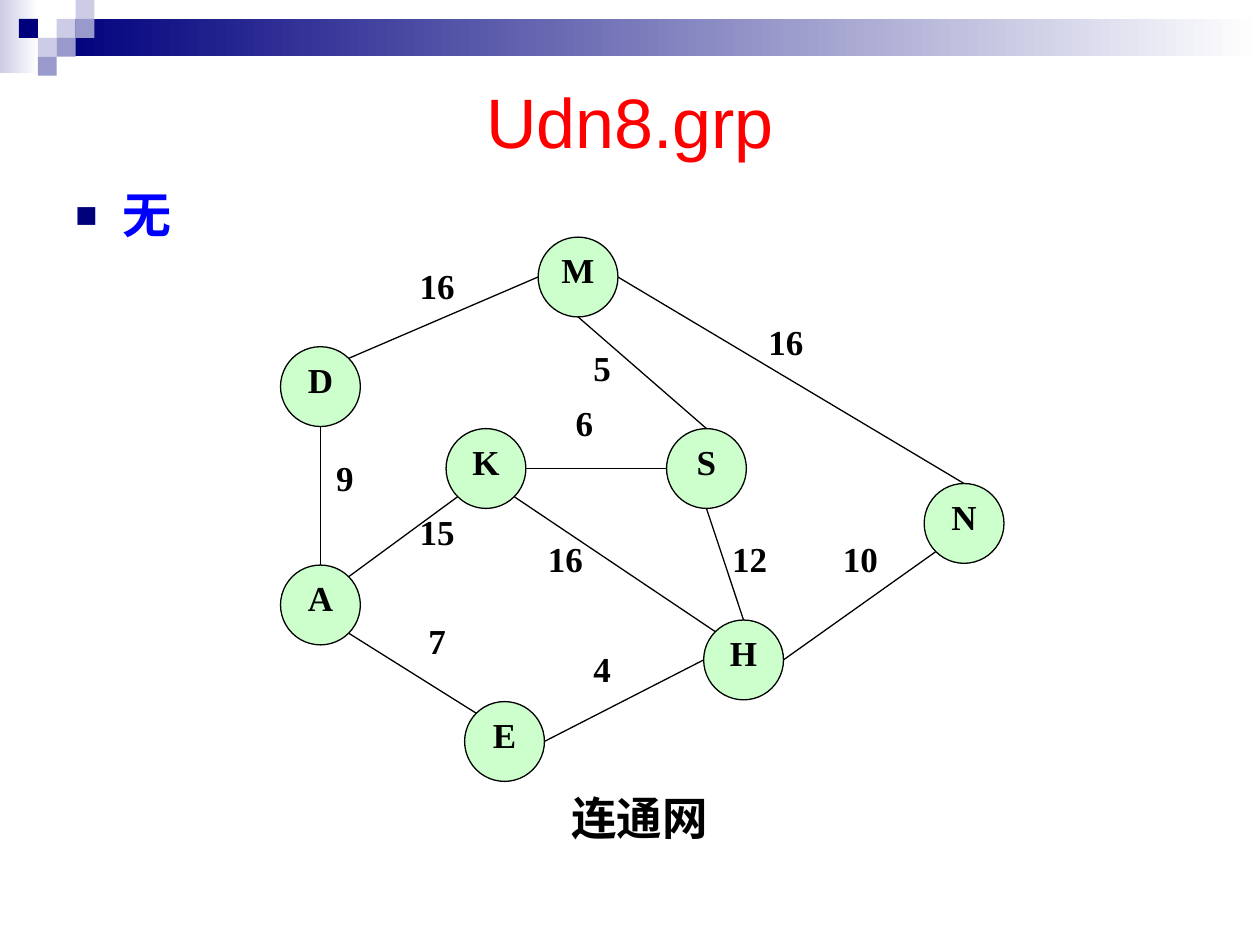
from math import cos, radians, sin

from lxml.etree import SubElement
from pptx import Presentation
from pptx.dml.color import RGBColor
from pptx.enum.shapes import MSO_CONNECTOR as Connector, MSO_SHAPE as Shape
from pptx.enum.text import MSO_ANCHOR as Anchor, PP_ALIGN as Align
from pptx.oxml.ns import qn
from pptx.util import Pt

COLOURS = {
    "navy": "00007D", "lilac": "9999CC", "pale": "CCCCE6", "white": "FFFFFF",
    "red": "FF0000", "blue": "0000FF", "black": "000000", "green": "CCFFCC",
}
SERIF = "Times New Roman"
CELL = 10.8
DIAMETER = 45.6

# Column, row and colour of each small square in the header
SQUARES = [
    (3, 1, "pale"), (4, 0, "pale"), (4, 1, "lilac"), (2, 2, "pale"),
    (1, 1, "navy"), (3, 2, "lilac"), (2, 3, "lilac"),
]
# Centre of each graph node
NODES = {
    "M": (330.3, 158.3), "D": (183.1, 220.9), "A": (183.1, 345.7),
    "S": (403.7, 267.7), "K": (277.7, 267.7), "H": (424.9, 377.1),
    "E": (288.3, 423.7), "N": (550.9, 299.1),
}
# Clockwise angles from east
SIDES = {"E": 0, "SE": 45, "S": 90, "SW": 135, "W": 180, "NW": 225, "N": 270}
# Start node and side, end node and side, weight, left and top of the weight
EDGES = [
    ("D", "NE", "M", "W", 16, 234, 151.2),
    ("D", "S", "A", "N", 9, 181.4, 260.6),
    ("A", "SE", "E", "NW", 7, 234, 354.2),
    ("A", "NE", "K", "SW", 15, 234, 291.6),
    ("K", "SE", "H", "NW", 16, 307.4, 307.4),
    ("S", "S", "H", "N", 12, 412.6, 307.4),
    ("K", "E", "S", "W", 6, 318.2, 229.7),
    ("H", "E", "N", "SW", 10, 475.9, 307.4),
    ("E", "E", "H", "W", 4, 328.3, 370.1),
    ("M", "E", "N", "N", 16, 433.4, 182.9),
    ("M", "S", "S", "N", 5, 328.3, 198),
]
SIDES["NE"] = 315


def colour(name):
    return RGBColor.from_string(COLOURS[name])


def add_block(page, kind, left, top, width, height, fill):
    block = page.shapes.add_shape(kind, Pt(left), Pt(top), Pt(width), Pt(height))
    block.shadow.inherit = False
    block.line.fill.background()
    block.fill.solid()
    block.fill.fore_color.rgb = colour(fill)
    return block


def add_fade(page, left, top, width, height, start):
    """Add a band that fades from start to white, left to right."""
    band = add_block(page, Shape.RECTANGLE, left, top, width, height, start)
    band.fill.gradient()
    band.fill.gradient_angle = 0
    for stop, name in zip(band.fill.gradient_stops, (start, "white")):
        stop.color.rgb = colour(name)


def write(box, text, size, name="black", font=SERIF, bold=True,
          align=Align.CENTER, anchor=Anchor.TOP, inset=None):
    """Fill a box with one paragraph and return that paragraph."""
    frame = box.text_frame
    frame.word_wrap = True
    frame.vertical_anchor = anchor
    if inset is not None:
        frame.margin_left = frame.margin_right = Pt(inset)
        frame.margin_top = frame.margin_bottom = Pt(inset)
    para = frame.paragraphs[0]
    para.text = text
    para.alignment = align
    para.font.size = Pt(size)
    para.font.name = font
    para.font.bold = bold
    para.font.color.rgb = colour(name)
    return para


def add_text(page, left, top, width, height, text, size, **style):
    box = page.shapes.add_textbox(Pt(left), Pt(top), Pt(width), Pt(height))
    return write(box, text, size, **style)


def add_bullet(para, indent):
    props = para._p.get_or_add_pPr()
    props.set("marL", str(Pt(indent)))
    props.set("indent", str(-Pt(indent)))
    tint = SubElement(props, qn("a:buClr"))
    SubElement(tint, qn("a:srgbClr"), val=COLOURS["navy"])
    SubElement(props, qn("a:buSzPct"), val="75000")
    SubElement(props, qn("a:buFont"), typeface="Arial")
    SubElement(props, qn("a:buChar"), char="■")


def add_node(page, name):
    x, y = NODES[name]
    radius = DIAMETER / 2
    node = add_block(page, Shape.OVAL, x - radius, y - radius, DIAMETER, DIAMETER, "green")
    node.line.color.rgb = colour("black")
    node.line.width = Pt(0.75)
    write(node, name, 20, inset=0)


def rim_point(name, side):
    x, y = NODES[name]
    angle = radians(SIDES[side])
    return Pt(x + DIAMETER / 2 * cos(angle)), Pt(y + DIAMETER / 2 * sin(angle))


def add_edge(page, start, start_side, end, end_side):
    edge = page.shapes.add_connector(
        Connector.STRAIGHT, *rim_point(start, start_side), *rim_point(end, end_side))
    edge.line.color.rgb = colour("black")
    edge.line.width = Pt(0.75)
    SubElement(edge._element.spPr, qn("a:effectLst"))


def add_header(page):
    add_fade(page, 0, 0, 22, 41.8, "pale")
    add_fade(page, 3 * CELL, CELL, 720 - 3 * CELL, 21.4, "navy")
    for column, row, fill in SQUARES:
        add_block(page, Shape.RECTANGLE, column * CELL, row * CELL, CELL, CELL, fill)


def add_graph(page):
    for name in NODES:
        add_node(page, name)
    for *ends, weight, left, top in EDGES:
        add_edge(page, *ends)
        add_text(page, left, top, 31.5, 31, str(weight), 20, inset=0)
    caption = add_block(page, Shape.RECTANGLE, 192.2, 447.8, 346.3, 46.8, "white")
    write(caption, "连通网", 26)


def main():
    deck = Presentation()
    deck.slide_width, deck.slide_height = Pt(720), Pt(540)
    page = deck.slides.add_slide(deck.slide_layouts[6])
    add_header(page)
    add_text(page, 36, 36, 648, 66.2, "Udn8.grp", 40, name="red", font="Arial",
             bold=False, anchor=Anchor.MIDDLE)
    answer = add_text(page, 36, 102.2, 648, 383.8, "无", 28, name="blue",
                      font="Arial", align=Align.LEFT)
    answer.space_before = Pt(7)
    add_bullet(answer, 27)
    add_graph(page)
    deck.save("out.pptx")


if __name__ == "__main__":
    main()
